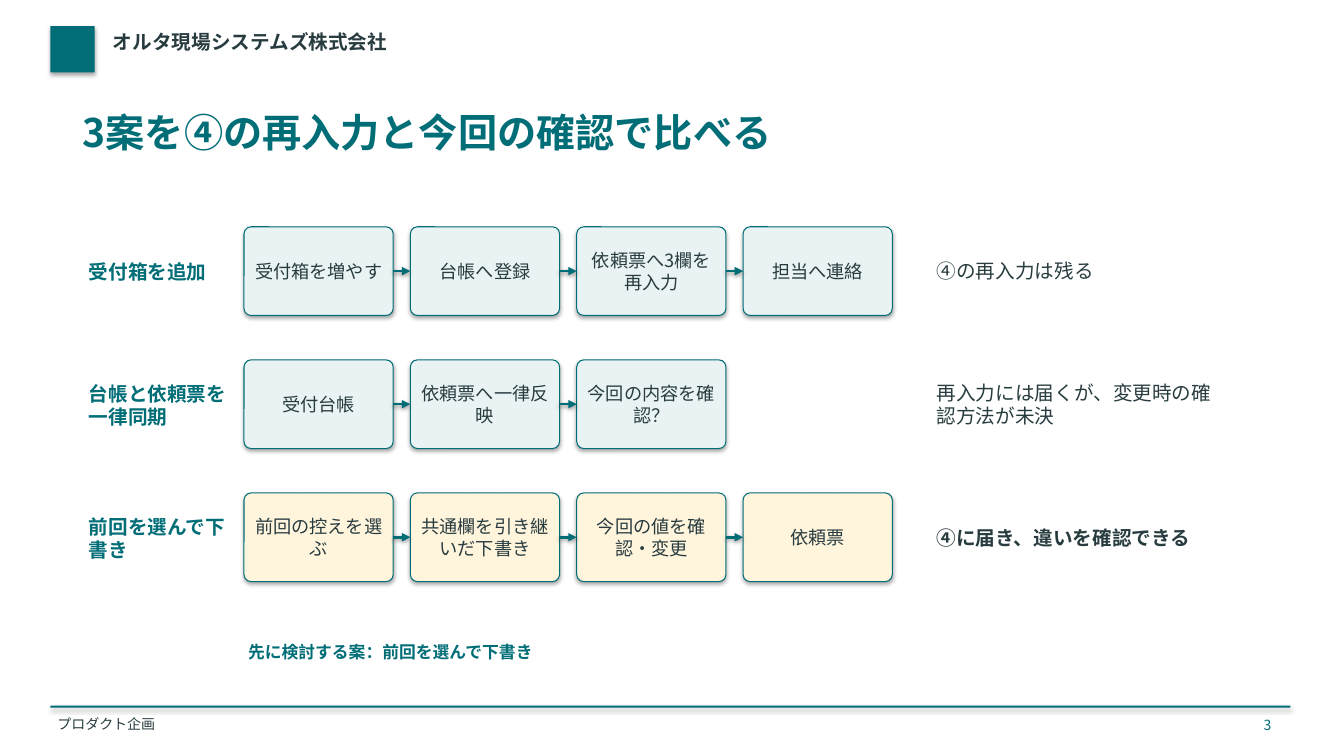
from lxml.etree import SubElement
from pptx import Presentation
from pptx.dml.color import RGBColor
from pptx.enum.shapes import MSO_CONNECTOR, MSO_SHAPE
from pptx.enum.text import MSO_ANCHOR, MSO_AUTO_SIZE, PP_ALIGN
from pptx.oxml.ns import qn
from pptx.util import Inches, Pt

FONT = "Noto Sans CJK JP"
COLORS = {"teal": "006D77", "ink": "283C40", "mint": "EAF3F3", "cream": "FFF4DC"}

LEFT, STEP = 2.42, 1.65
TOP, PITCH = 2.25, 1.32
WIDTH, HEIGHT = 1.48, 0.88

# Each plan: label, steps, verdict, box fill, bold verdict
PLANS = [
    ("受付箱を追加",
     ["受付箱を増やす", "台帳へ登録", "依頼票へ3欄を再入力", "担当へ連絡"],
     "④の再入力は残る", "mint", False),
    ("台帳と依頼票を一律同期",
     ["受付台帳", "依頼票へ一律反映", "今回の内容を確認？"],
     "再入力には届くが、変更時の確認方法が未決", "mint", False),
    ("前回を選んで下書き",
     ["前回の控えを選ぶ", "共通欄を引き継いだ下書き", "今回の値を確認・変更", "依頼票"],
     "④に届き、違いを確認できる", "cream", True),
]


def color(name):
    return RGBColor.from_string(COLORS[name])


def write(frame, text, size=14, ink="ink", bold=False, align=PP_ALIGN.LEFT,
          anchor=MSO_ANCHOR.MIDDLE, pad=(0.04, 0.03)):
    """Fill a text frame with one formatted paragraph."""
    frame.word_wrap = True
    frame.vertical_anchor = anchor
    frame.margin_left = frame.margin_right = Inches(pad[0])
    frame.margin_top = frame.margin_bottom = Inches(pad[1])
    para = frame.paragraphs[0]
    para.alignment = align
    run = para.add_run()
    run.text = text
    font = run.font
    font.size, font.bold, font.name = Pt(size), bold, FONT
    font.color.rgb = color(ink)
    SubElement(run._r.get_or_add_rPr(), qn("a:ea"), typeface=FONT)


def shade(effects, alpha, dist):
    """Add a soft shadow that falls straight down."""
    outer = SubElement(effects, qn("a:outerShdw"), blurRad=str(Pt(3.1)),
                       dist=str(Pt(dist)), dir="5400000", rotWithShape="0")
    black = SubElement(outer, qn("a:srgbClr"), val="000000")
    SubElement(black, qn("a:alpha"), val=str(alpha * 1000))


class Deck:
    def __init__(self):
        self.prs = Presentation()
        self.prs.slide_width = Inches(13.33)
        self.prs.slide_height = Inches(7.5)
        self.slide = self.prs.slides.add_slide(self.prs.slide_layouts[6])

    def label(self, place, text, **style):
        box = self.slide.shapes.add_textbox(*map(Inches, place))
        write(box.text_frame, text, **style)
        box.text_frame.auto_size = MSO_AUTO_SIZE.SHAPE_TO_FIT_TEXT

    def block(self, kind, place, fill):
        shape = self.slide.shapes.add_shape(kind, *map(Inches, place))
        shape.fill.solid()
        shape.fill.fore_color.rgb = color(fill)
        shape.line.fill.background()
        shape.shadow.inherit = False
        shade(shape._element.spPr.find(qn("a:effectLst")), 35, 1.8)
        return shape

    def card(self, place, text, fill):
        shape = self.block(MSO_SHAPE.ROUNDED_RECTANGLE, place, fill)
        shape.adjustments[0] = 0.08
        shape.line.color.rgb = color("teal")
        shape.line.width = Pt(0.75)
        write(shape.text_frame, text, size=13, align=PP_ALIGN.CENTER, pad=(0.05, 0.03))
        return shape

    def arrow(self, start, end):
        """Join the right side of one card to the left side of the next."""
        link = self.slide.shapes.add_connector(MSO_CONNECTOR.STRAIGHT, 0, 0, 0, 0)
        link.begin_connect(start, 3)
        link.end_connect(end, 1)
        link.line.color.rgb = color("teal")
        link.line.width = Pt(1.8)
        props = link._element.spPr
        SubElement(props.find(qn("a:ln")), qn("a:tailEnd"), type="triangle")
        shade(SubElement(props, qn("a:effectLst")), 38, 1.6)

    def plan(self, row, name, steps, verdict, fill, bold):
        top = TOP + row * PITCH
        self.label((0.84, top, 1.52, 0.9), name, ink="teal", bold=True)
        last = None
        for col, step in enumerate(steps):
            card = self.card((LEFT + col * STEP, top, WIDTH, HEIGHT), step, fill)
            if last is not None:
                self.arrow(last, card)
            last = card
        self.label((9.25, top, 3, HEIGHT), verdict, bold=bold)


def main():
    deck = Deck()
    head = {"anchor": MSO_ANCHOR.TOP, "pad": (0.02, 0.02)}
    deck.block(MSO_SHAPE.RECTANGLE, (0.5, 0.26, 0.44, 0.46), "teal")
    deck.label((1.1, 0.28, 10, 0.4), "オルタ現場システムズ株式会社", bold=True, **head)
    deck.block(MSO_SHAPE.RECTANGLE, (0.5, 7, 12.3, 0.02), "teal")
    deck.label((0.55, 7.08, 9, 0.22), "プロダクト企画", size=10, **head)
    deck.label((0.8, 1.05, 11.7, 0.75), "3案を④の再入力と今回の確認で比べる",
               size=28, ink="teal", bold=True, **head)
    deck.label((12.15, 7.08, 0.5, 0.22), "3", size=10, ink="teal", align=PP_ALIGN.RIGHT)
    for row, plan in enumerate(PLANS):
        deck.plan(row, *plan)
    deck.label((LEFT, 6.32, 3, 0.3), "先に検討する案：前回を選んで下書き",
               size=12, ink="teal", bold=True)
    deck.prs.save("out.pptx")


if __name__ == "__main__":
    main()
